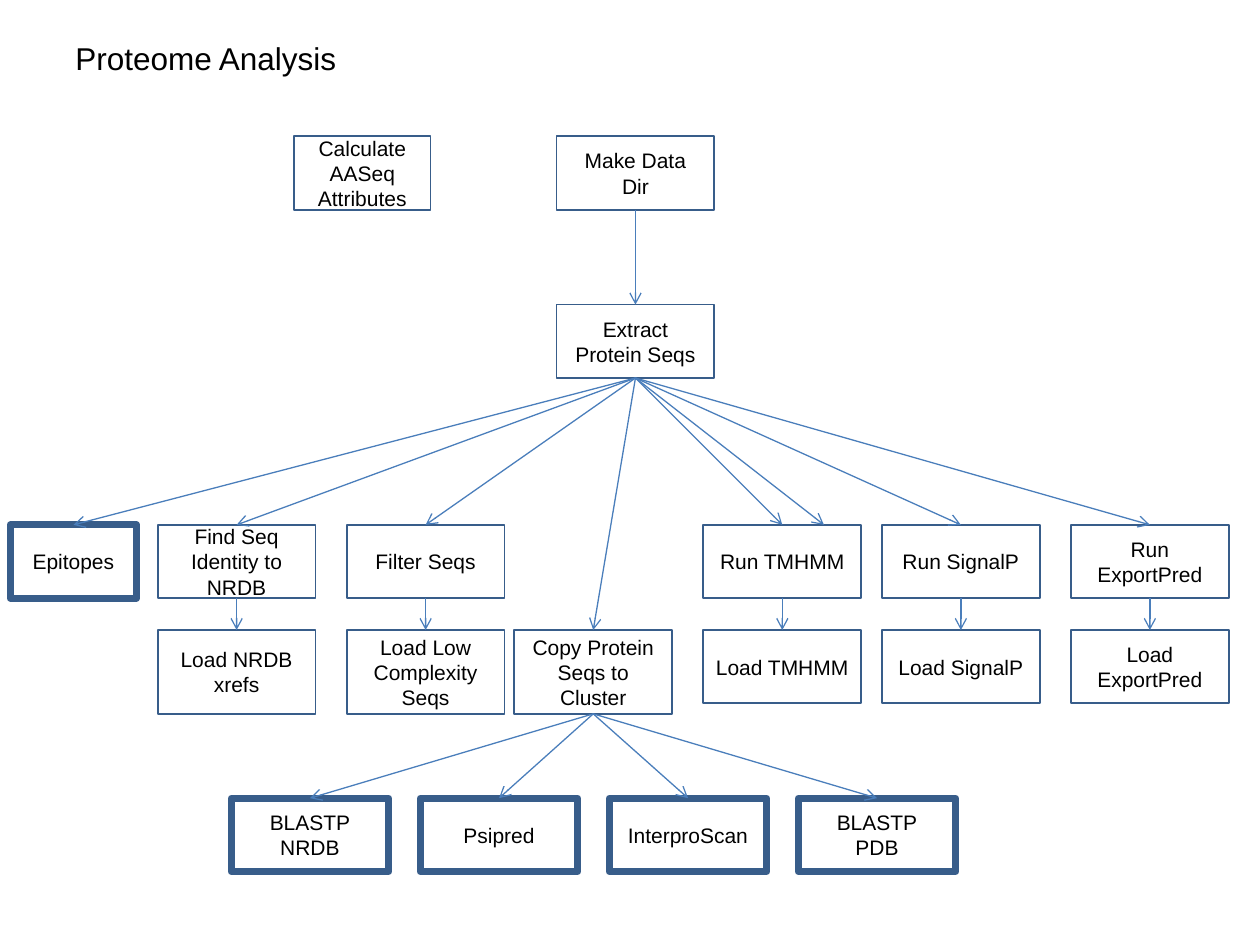
from dataclasses import dataclass

from lxml import etree
from pptx import Presentation
from pptx.dml.color import RGBColor
from pptx.enum.shapes import MSO_CONNECTOR, MSO_SHAPE
from pptx.enum.text import MSO_ANCHOR, MSO_AUTO_SIZE, PP_ALIGN
from pptx.oxml.ns import qn
from pptx.shapes.autoshape import Shape
from pptx.shapes.connector import Connector
from pptx.slide import Slide
from pptx.util import Cm, Pt

RECTANGLE = MSO_SHAPE.RECTANGLE
STRAIGHT = MSO_CONNECTOR.STRAIGHT
MIDDLE = MSO_ANCHOR.MIDDLE
CENTER = PP_ALIGN.CENTER
FIT_SHAPE = MSO_AUTO_SIZE.SHAPE_TO_FIT_TEXT
TOP_SITE, BOTTOM_SITE = 0, 2

COLORS = {"text": "000000", "border": "385D8A", "arrow": "4A7EBB"}
THIN, THICK = 1, 4  # border widths in points
WIDTH, HEIGHT, TALL = 3.18, 1.48, 1.69  # box sizes in cm

# Tops of the rows and lefts of the analysis columns, in cm
START, EXTRACT, RUN, LOAD, CLUSTER = 2.75, 6.14, 10.58, 12.7, 16.09
NRDB, FILTER, COPY, TMHMM, SIGNALP, EXPORT = 3.18, 6.99, 10.37, 14.18, 17.78, 21.59
ROOT = 11.22
CLUSTER_LEFT, CLUSTER_STEP = 4.66, 3.81


@dataclass
class Step:
    text: str
    left: float
    top: float
    width: float = WIDTH
    height: float = HEIGHT
    border: float = THIN


CLUSTER_JOBS = ["BLASTP\nNRDB", "Psipred", "InterproScan", "BLASTP\nPDB"]
STEPS = {
    "attributes": Step("Calculate AASeq Attributes", 5.93, START, width=2.75),
    "make": Step("Make Data Dir", ROOT, START),
    "extract": Step("Extract Protein Seqs", ROOT, EXTRACT),
    "epitopes": Step("Epitopes", 0.21, RUN, width=2.54, border=THICK),
    "identity": Step("Find Seq Identity to NRDB", NRDB, RUN),
    "filter": Step("Filter Seqs", FILTER, RUN),
    "tmhmm": Step("Run TMHMM", TMHMM, RUN),
    "signalp": Step("Run SignalP", SIGNALP, RUN),
    "export": Step("Run ExportPred", EXPORT, RUN),
    "load identity": Step("Load NRDB xrefs", NRDB, LOAD, height=TALL),
    "load filter": Step("Load Low Complexity Seqs", FILTER, LOAD, height=TALL),
    "copy": Step("Copy Protein Seqs to Cluster", COPY, LOAD, height=TALL),
    "load tmhmm": Step("Load TMHMM", TMHMM, LOAD),
    "load signalp": Step("Load SignalP", SIGNALP, LOAD),
    "load export": Step("Load ExportPred", EXPORT, LOAD),
}
for index, job in enumerate(CLUSTER_JOBS):
    STEPS[job] = Step(job, CLUSTER_LEFT + index * CLUSTER_STEP, CLUSTER, border=THICK)

LOADED = ["identity", "filter", "tmhmm", "signalp", "export"]
FLOWS = (
    [("make", "extract")]
    + [("extract", name) for name in ["epitopes", "copy", *LOADED]]
    + [(name, f"load {name}") for name in LOADED]
    + [("copy", job) for job in CLUSTER_JOBS]
)


def color(name: str) -> RGBColor:
    return RGBColor.from_string(COLORS[name])


def write(box: Shape, text: str, size: float, frame_format: dict, para_format: dict) -> None:
    """Fill a box with one paragraph per line of text."""
    frame = box.text_frame
    frame.text = text
    for name, value in frame_format.items():
        setattr(frame, name, value)
    for para in frame.paragraphs:
        for name, value in para_format.items():
            setattr(para, name, value)
        for span in para.runs:
            for name, value in {"name": "Arial", "size": Pt(size)}.items():
                setattr(span.font, name, value)
            span.font.color.rgb = color("text")


def draw_step(page: Slide, step: Step) -> Shape:
    box = page.shapes.add_shape(
        RECTANGLE, Cm(step.left), Cm(step.top), Cm(step.width), Cm(step.height)
    )
    box.shadow.inherit = False
    box.fill.background()
    box.line.color.rgb = color("border")
    box.line.width = Pt(step.border)
    write(box, step.text, 12,
          {"word_wrap": True, "vertical_anchor": MIDDLE}, {"alignment": CENTER})
    return box


def draw_arrow(page: Slide, source: Shape) -> Connector:
    """Start an open-headed arrow at the bottom of a box."""
    arrow = page.shapes.add_connector(STRAIGHT, 0, 0, 0, 0)
    arrow.begin_connect(source, BOTTOM_SITE)
    arrow.line.color.rgb = color("arrow")
    arrow.line.width = Pt(0.75)
    line = arrow.line._get_or_add_ln()
    etree.SubElement(line, qn("a:tailEnd"), type="arrow")
    etree.SubElement(arrow._element.spPr, qn("a:effectLst"))
    return arrow


def main() -> None:
    deck = Presentation()
    deck.slide_width, deck.slide_height = Cm(25.4), Cm(19.05)
    page = deck.slides.add_slide(deck.slide_layouts[6])

    # Title
    title = page.shapes.add_textbox(Cm(1.27), Cm(0.66), Cm(5.79), Cm(1.02))
    write(title, "Proteome Analysis", 18,
          {"word_wrap": False, "auto_size": FIT_SHAPE}, {})

    # Workflow steps
    boxes = {name: draw_step(page, step) for name, step in STEPS.items()}

    # Arrows between steps
    for source, target in FLOWS:
        draw_arrow(page, boxes[source]).end_connect(boxes[target], TOP_SITE)

    # Second arrow to TMHMM, ending right of the box centre
    extra = draw_arrow(page, boxes["extract"])
    extra.end_x, extra.end_y = Cm(16.61), Cm(RUN)

    deck.save("out.pptx")


if __name__ == "__main__":
    main()
